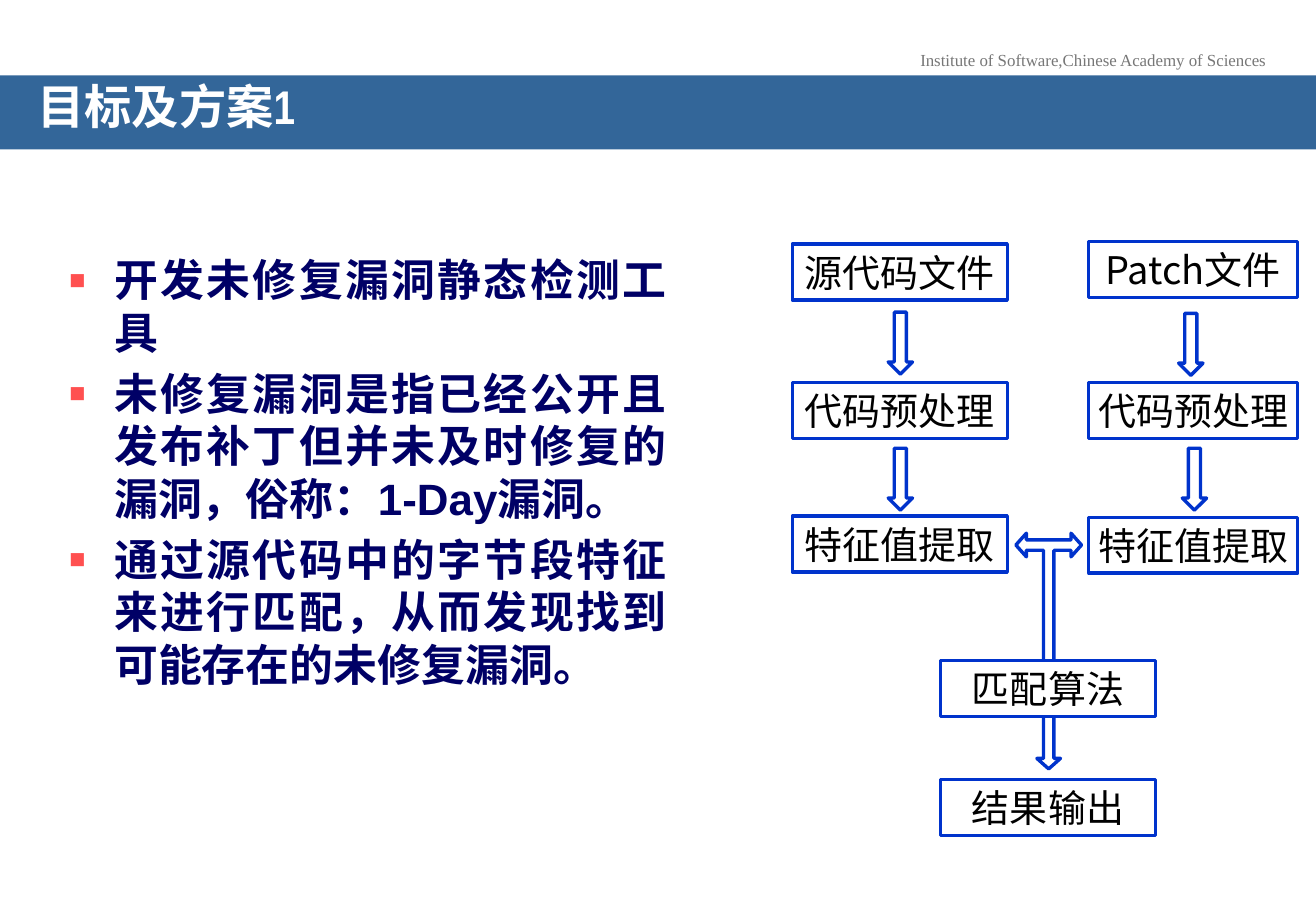
from dataclasses import dataclass

from lxml import etree
from pptx import Presentation, util as u
from pptx.enum import shapes, text
from pptx.dml.color import RGBColor
from pptx.oxml.ns import qn

PX = 9144
COLORS = {
    "white": "FFFFFF",
    "black": "000000",
    "banner": "336699",
    "header": "777777",
    "list": "000066",
    "bullet": "FF5050",
    "flow": "0033CC",
}
BOX_HEIGHT = 46
ARROW_WIDTH, ARROW_HEIGHT = 20, 51
LEFT, RIGHT, CENTER = (652, 177), (896, 172), (774, 177)
GOALS = [
    "开发未修复漏洞静态检测工具",
    "未修复漏洞是指已经公开且发布补丁但并未及时修复的漏洞，俗称：1-Day漏洞。",
    "通过源代码中的字节段特征来进行匹配，从而发现找到可能存在的未修复漏洞。",
]


@dataclass(frozen=True)
class Step:
    column: tuple[int, int]
    top: int
    label: str


@dataclass(frozen=True)
class Arrow:
    left: int
    top: int


STEPS = [
    Step(LEFT, 201, "源代码文件"),
    Step(RIGHT, 199, "Patch文件"),
    Step(LEFT, 315, "代码预处理"),
    Step(RIGHT, 315, "代码预处理"),
    Step(LEFT, 425, "特征值提取"),
    Step(RIGHT, 426, "特征值提取"),
    Step(CENTER, 544, "匹配算法"),
    Step(CENTER, 642, "结果输出"),
]
ARROWS = [Arrow(731, 257), Arrow(970, 258), Arrow(731, 369), Arrow(973, 369)]


def color(name: str) -> RGBColor:
    return RGBColor.from_string(COLORS[name])


def place(shape, left: int, top: int, width: int, height: int) -> None:
    shape.left, shape.top = left * PX, top * PX
    shape.width, shape.height = width * PX, height * PX


def set_margins(frame, side: int, edge: int) -> None:
    frame.margin_left = frame.margin_right = side * PX
    frame.margin_top = frame.margin_bottom = edge * PX


def format_runs(para, size: float, font: str, ink: str, bold: bool = False) -> None:
    for span in para.runs:
        span.font.size = u.Pt(size)
        span.font.name = font
        span.font.bold = bold
        span.font.color.rgb = color(ink)
        east_asian = etree.SubElement(span.font._element, qn("a:ea"))
        east_asian.set("typeface", font)


def add_bullet(para) -> None:
    properties = para._p.get_or_add_pPr()
    properties.set("marL", str(38 * PX))
    properties.set("indent", str(-38 * PX))
    bullet_color = etree.SubElement(properties, qn("a:buClr"))
    etree.SubElement(bullet_color, qn("a:srgbClr")).set("val", COLORS["bullet"])
    etree.SubElement(properties, qn("a:buSzPct")).set("val", "120000")
    etree.SubElement(properties, qn("a:buFont")).set("typeface", "Arial")
    etree.SubElement(properties, qn("a:buChar")).set("char", "▪")


def add_header(page) -> None:
    box = page.shapes.add_textbox(0, 0, 0, 0)
    place(box, 746, 36, 307, 27)
    frame = box.text_frame
    frame.word_wrap = False
    frame.text = "Institute of Software,Chinese Academy of Sciences"
    para = frame.paragraphs[0]
    para.alignment = text.PP_ALIGN.CENTER
    format_runs(para, 10, "Times New Roman", "header")


def fill_title(title) -> None:
    place(title, 0, 62, 1083, 61)
    title.fill.solid()
    title.fill.fore_color.rgb = color("banner")
    frame = title.text_frame
    frame.text = "目标及方案1"
    frame.auto_size = text.MSO_AUTO_SIZE.NONE
    frame.vertical_anchor = text.MSO_ANCHOR.MIDDLE
    set_margins(frame, 31, 5)
    para = frame.paragraphs[0]
    para.alignment = text.PP_ALIGN.LEFT
    para.line_spacing = 0.7
    format_runs(para, 28, "Arial Narrow", "white", bold=True)


def fill_goals(body) -> None:
    place(body, 46, 203, 513, 492)
    frame = body.text_frame
    frame.text = "\n".join(GOALS)
    frame.auto_size = text.MSO_AUTO_SIZE.NONE
    for index, para in enumerate(frame.paragraphs):
        para.alignment = text.PP_ALIGN.JUSTIFY
        para.space_before = u.Pt(5 if index else 0)
        add_bullet(para)
        format_runs(para, 26, "Arial", "list", bold=True)


def add_outlined(page, kind: shapes.MSO_SHAPE, left: int, top: int, width: int, height: int):
    shape = page.shapes.add_shape(kind, 0, 0, 0, 0)
    place(shape, left, top, width, height)
    shape.shadow.inherit = False
    shape.fill.solid()
    shape.fill.fore_color.rgb = color("white")
    shape.line.color.rgb = color("flow")
    shape.line.width = u.Pt(2)
    return shape


def add_step(page, step: Step) -> None:
    left, width = step.column
    box = add_outlined(page, shapes.MSO_SHAPE.RECTANGLE, left, step.top, width, BOX_HEIGHT)
    frame = box.text_frame
    frame.text = step.label
    frame.vertical_anchor = text.MSO_ANCHOR.MIDDLE
    set_margins(frame, 4, 4)
    para = frame.paragraphs[0]
    para.alignment = text.PP_ALIGN.CENTER
    format_runs(para, 22.5, "Noto Sans CJK SC", "black")


def add_merge_arrow(page) -> None:
    arrow = add_outlined(page, shapes.MSO_SHAPE.LEFT_RIGHT_UP_ARROW, 836, 439, 54, 194)
    arrow.rotation = 180
    for index, value in enumerate((0.16, 0.18, 0.16)):
        arrow.adjustments[index] = value


def main() -> None:
    deck = Presentation()
    deck.slide_width, deck.slide_height = 1083 * PX, 750 * PX
    page = deck.slides.add_slide(deck.slide_layouts[1])
    fill_title(page.shapes.title)
    fill_goals(page.placeholders[1])
    add_header(page)
    for arrow in ARROWS:
        add_outlined(page, shapes.MSO_SHAPE.DOWN_ARROW, arrow.left, arrow.top, ARROW_WIDTH, ARROW_HEIGHT)
    add_merge_arrow(page)
    for step in STEPS:
        add_step(page, step)
    deck.save("out.pptx")


if __name__ == "__main__":
    main()
